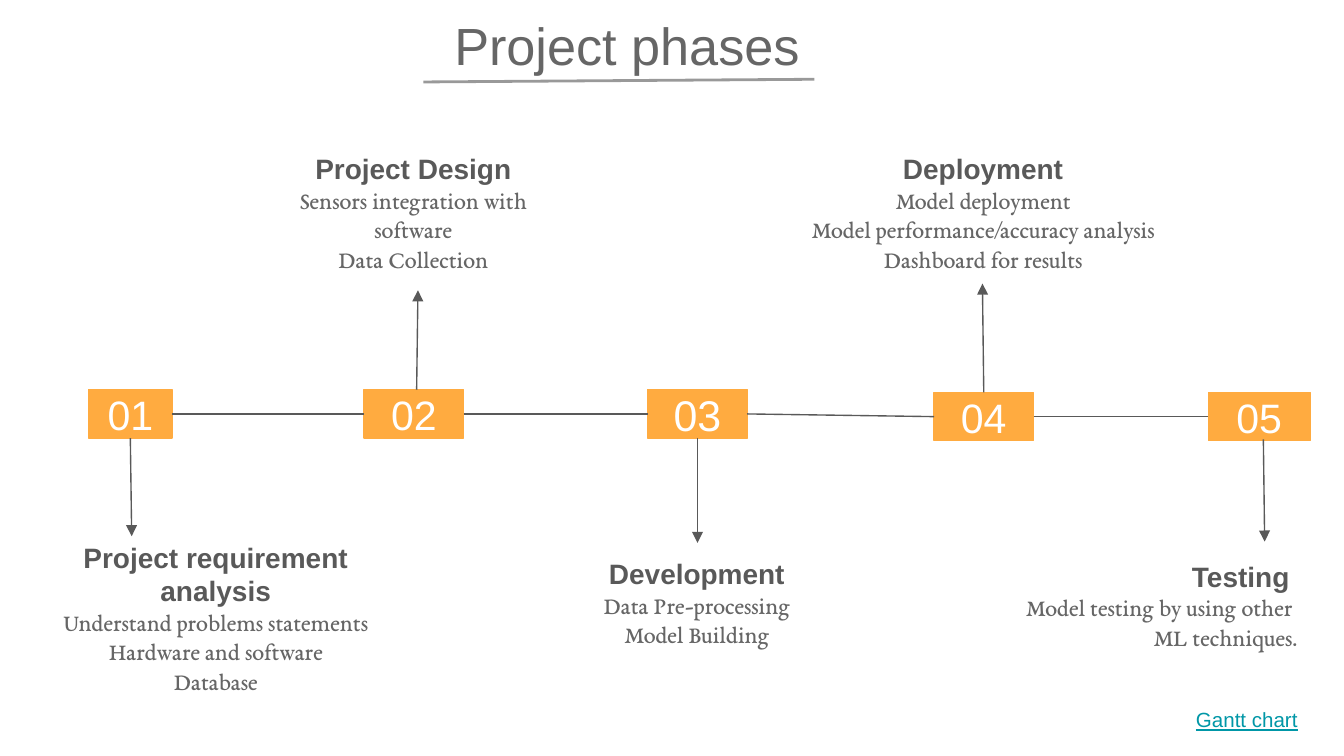
from dataclasses import dataclass
from typing import Optional

from lxml import etree
from pptx import Presentation
from pptx.dml.color import RGBColor
from pptx.enum.shapes import MSO_CONNECTOR, MSO_SHAPE
from pptx.enum.text import MSO_ANCHOR, MSO_AUTO_SIZE, PP_ALIGN
from pptx.oxml.ns import qn
from pptx.util import Inches, Pt

RECTANGLE = MSO_SHAPE.RECTANGLE
STRAIGHT = MSO_CONNECTOR.STRAIGHT
TOP, MIDDLE = MSO_ANCHOR.TOP, MSO_ANCHOR.MIDDLE
LEFT, CENTER, RIGHT = PP_ALIGN.LEFT, PP_ALIGN.CENTER, PP_ALIGN.RIGHT
FIT_SHAPE = MSO_AUTO_SIZE.SHAPE_TO_FIT_TEXT
TOP_SIDE, LEFT_SIDE, BOTTOM_SIDE, RIGHT_SIDE = range(4)


@dataclass(frozen=True)
class TextStyle:
    """Font, size and colour of one kind of text."""
    font: str
    size: float
    color: str
    bold: bool = False
    underline: bool = False


@dataclass(frozen=True)
class Theme:
    """Colours and text styles of the slide."""
    background: str = "FFFFFF"
    marker: str = "FFAB40"
    connector: str = "595959"
    rule: str = "999999"
    title: TextStyle = TextStyle("Arial", 28, "666666")
    number: TextStyle = TextStyle("Arial", 22, "FFFFFF")
    large_number: TextStyle = TextStyle("Arial", 23, "FFFFFF")
    heading: TextStyle = TextStyle("Arial", 15, "595959", bold=True)
    detail: TextStyle = TextStyle("EB Garamond", 13, "666666")
    link: TextStyle = TextStyle("Arial", 11, "0097A7", underline=True)


@dataclass(frozen=True)
class Phase:
    """One step of the timeline with its marker, arrow and caption."""
    marker: tuple
    arrow_tip: tuple
    caption: tuple
    heading: str
    details: tuple
    align: PP_ALIGN = CENTER
    number_style: TextStyle = Theme.number
    arrow_start: Optional[tuple] = None


THEME = Theme()
MARKER_HEIGHT = 0.36

PHASES = (
    Phase((0.66, 2.9, 0.62), (0.98, 3.99), (0.23, 3.92, 2.75, 1.36),
          "Project requirement analysis",
          ("Understand problems statements", "Hardware and software", "Database")),
    Phase((2.71, 2.9, 0.74), (3.11, 2.16), (1.84, 1.03, 2.47, 1.11),
          "Project Design",
          ("Sensors integration with software", "Data Collection"),
          arrow_start=(3.1, 2.9)),
    Phase((4.82, 2.9, 0.74), (5.19, 4.04), (4.17, 4.04, 2.03, 0.89),
          "Development", ("Data Pre-processing", "Model Building"),
          number_style=THEME.large_number),
    Phase((6.95, 2.92, 0.74), (7.31, 2.11), (5.85, 1.03, 2.93, 1.11),
          "Deployment",
          ("Model deployment", "Model performance/accuracy analysis",
           "Dashboard for results")),
    Phase((8.99, 2.92, 0.76), (9.41, 4.03), (7.44, 4.06, 2.31, 0.89),
          "Testing ", ("Model testing by using other ", "ML techniques."),
          align=RIGHT, arrow_start=(9.4, 3.27)),
)


def inches(values):
    """Convert several numbers to lengths."""
    return [Inches(value) for value in values]


def write_text(shape, lines, align=LEFT, anchor=TOP):
    """Fill a shape with (text, style) paragraphs."""
    frame = shape.text_frame
    frame.word_wrap = True
    frame.vertical_anchor = anchor
    frame.margin_left = frame.margin_right = Inches(0.1)
    frame.margin_top = frame.margin_bottom = Inches(0.1)
    frame.text = "\n".join(text for text, _ in lines)
    for paragraph, (_, style) in zip(frame.paragraphs, lines):
        paragraph.alignment = align
        font = paragraph.runs[0].font
        font.name = style.font
        font.size = Pt(style.size)
        font.bold = style.bold
        font.underline = style.underline
        font.color.rgb = RGBColor.from_string(style.color)


def add_title(slide, text):
    """Place the title placeholder and the rule beneath it."""
    title = slide.shapes.title
    title.left, title.top, title.width, title.height = inches((3.28, 0, 3.4, 0.67))
    title.fill.solid()
    title.fill.fore_color.rgb = RGBColor.from_string(THEME.background)
    write_text(title, [(text, THEME.title)])
    title.text_frame.auto_size = FIT_SHAPE
    add_line(slide, (3.15, 0.61), (6.06, 0.59), THEME.rule, 1.5)


def add_line(slide, start, end, color=THEME.connector, width=0.75, arrow=False):
    """Draw a straight connector, with an arrowhead if asked."""
    line = slide.shapes.add_connector(STRAIGHT, *inches((*start, *end)))
    line.line.color.rgb = RGBColor.from_string(color)
    line.line.width = Pt(width)
    if arrow:
        outline = line._element.spPr.find(qn("a:ln"))
        etree.SubElement(outline, qn("a:tailEnd"), type="triangle")
    etree.SubElement(line._element.spPr, qn("a:effectLst"))
    return line


def add_marker(slide, phase, number):
    """Add the numbered box of a phase."""
    marker = slide.shapes.add_shape(RECTANGLE, *inches((*phase.marker, MARKER_HEIGHT)))
    marker.shadow.inherit = False
    marker.fill.solid()
    marker.fill.fore_color.rgb = RGBColor.from_string(THEME.marker)
    marker.line.color.rgb = RGBColor.from_string(THEME.marker)
    marker.line.width = Pt(0.75)
    write_text(marker, [(f"{number:02}", phase.number_style)], CENTER, MIDDLE)
    return marker


def add_arrow(slide, phase, marker):
    """Point from a marker to its caption."""
    start = phase.arrow_start or phase.marker[:2]
    arrow = add_line(slide, start, phase.arrow_tip, arrow=True)
    if phase.arrow_start is None:
        upward = phase.arrow_tip[1] < phase.marker[1]
        arrow.begin_connect(marker, TOP_SIDE if upward else BOTTOM_SIDE)


def add_link_between(slide, marker, following):
    """Join two neighbouring markers."""
    line = add_line(slide, (0, 0), (1, 0))
    line.begin_connect(marker, RIGHT_SIDE)
    line.end_connect(following, LEFT_SIDE)


def add_text_box(slide, box, lines, align=LEFT):
    """Add a text box that grows with its text."""
    text_box = slide.shapes.add_textbox(*inches(box))
    write_text(text_box, lines, align)
    text_box.text_frame.auto_size = FIT_SHAPE


def add_caption(slide, phase):
    """Add the heading and details of a phase."""
    lines = [(phase.heading, THEME.heading)]
    lines += [(detail, THEME.detail) for detail in phase.details]
    add_text_box(slide, phase.caption, lines, phase.align)


def main():
    """Build the project phases slide."""
    presentation = Presentation()
    presentation.slide_width = Inches(10)
    presentation.slide_height = presentation.slide_width * 9 // 16
    slide = presentation.slides.add_slide(presentation.slide_layouts.get_by_name("Title Only"))
    slide.background.fill.solid()
    slide.background.fill.fore_color.rgb = RGBColor.from_string(THEME.background)

    add_title(slide, "Project phases")
    markers = [add_marker(slide, phase, number) for number, phase in enumerate(PHASES, 1)]
    for phase, marker in zip(PHASES, markers):
        add_arrow(slide, phase, marker)
        add_caption(slide, phase)
    for marker, following in zip(markers, markers[1:]):
        add_link_between(slide, marker, following)
    add_text_box(slide, (8.8, 5.17, 1.13, 0.39), [("Gantt chart", THEME.link)])

    presentation.save("out.pptx")


if __name__ == "__main__":
    main()
